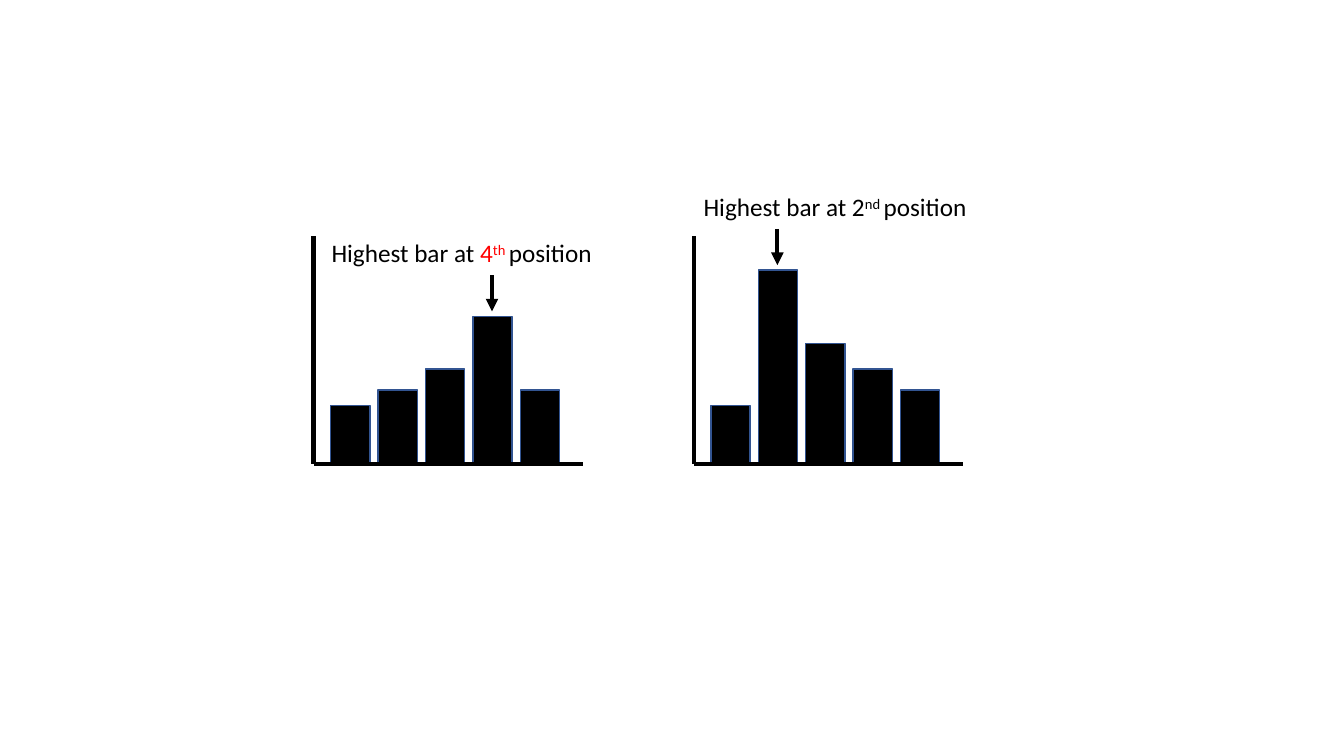
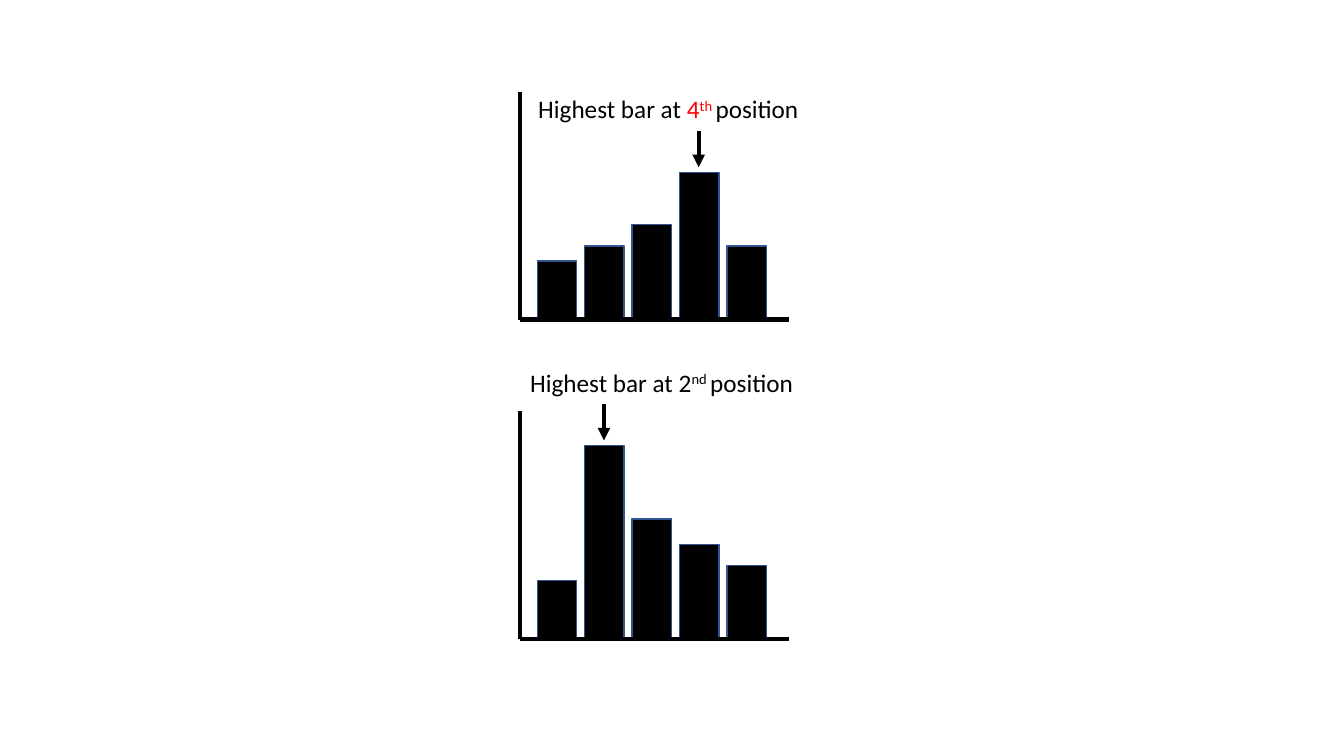
from lxml.etree import SubElement
from pptx import Presentation
from pptx.dml.color import RGBColor
from pptx.enum.shapes import MSO_CONNECTOR as CONN, MSO_SHAPE as SHAPE
from pptx.enum.text import MSO_AUTO_SIZE as AUTO
from pptx.oxml.ns import qn
from pptx.util import Pt

EMU_PER_PX = 9144
BLACK, RED, BLUE = "000000", "FF0000", "325491"
FOURTH = dict(
    heights=(58, 73, 94, 146, 73), label_dx=8, label_w=284,
    runs=(("Highest bar at ", BLACK, False), ("4", RED, False),
          ("th ", RED, True), ("position", BLACK, False)))
SECOND = dict(
    heights=(58, 192, 119, 94, 73), label_dx=0, label_w=287,
    runs=(("Highest bar at 2", BLACK, False), ("nd ", BLACK, True),
          ("position", BLACK, False)))


def px(*lengths):
    return [n * EMU_PER_PX for n in lengths]


def rgb(color):
    return RGBColor.from_string(color)


class Deck:
    """Draws bar diagrams in one style on the current slide."""
    font, size = "Calibri", 18
    axis_w, axis_h, axis_pt = 267, 226, 3
    bar_dx, bar_w, bar_pitch = 17, 39, 47
    arrow_h, arrow_gap = 36, 5
    label_h, label_rise = 40, 42

    def __init__(self):
        self.prs = Presentation()
        self.prs.slide_width, self.prs.slide_height = px(1333, 750)

    def add_slide(self):
        self.slide = self.prs.slides.add_slide(self.prs.slide_layouts[6])

    def bar(self, shapes, x, y, h):
        sp = shapes.add_shape(SHAPE.RECTANGLE, *px(x, y, self.bar_w, h))
        sp.shadow.inherit = False
        sp.fill.solid()
        sp.fill.fore_color.rgb = rgb(BLACK)
        sp.line.color.rgb = rgb(BLUE)
        sp.line.width = Pt(1)

    def line(self, shapes, x1, y1, x2, y2, arrow=False):
        cx = shapes.add_connector(CONN.STRAIGHT, *px(x1, y1, x2, y2))
        cx.line.color.rgb = rgb(BLACK)
        cx.line.width = Pt(self.axis_pt)
        if arrow:
            SubElement(cx.line._get_or_add_ln(), qn("a:tailEnd"), type="triangle")
        SubElement(cx._element.spPr, qn("a:effectLst"))

    def label(self, shapes, x, y, w, runs):
        tf = shapes.add_textbox(*px(x, y, w, self.label_h)).text_frame
        tf.word_wrap = False
        tf.auto_size = AUTO.SHAPE_TO_FIT_TEXT
        p = tf.paragraphs[0]
        for text, color, raised in runs:
            r = p.add_run()
            r.text = text
            r.font.name, r.font.size = self.font, Pt(self.size)
            r.font.color.rgb = rgb(color)
            if raised:
                r._r.get_or_add_rPr().set("baseline", "30000")

    def diagram(self, x, base, heights, label_dx, label_w, runs):
        shapes = self.slide.shapes.add_group_shape().shapes
        lefts = [x + self.bar_dx + i * self.bar_pitch for i in range(len(heights))]
        for left, h in zip(lefts, heights):
            self.bar(shapes, left, base - h, h)
        self.line(shapes, x, base, x + self.axis_w, base)
        self.line(shapes, x, base, x, base - self.axis_h)

        peak = max(heights)
        mid = lefts[heights.index(peak)] + self.bar_w // 2
        tip = base - peak - self.arrow_gap
        start = tip - self.arrow_h
        self.line(shapes, mid, start, mid, tip, arrow=True)
        self.label(shapes, x + label_dx, start - self.label_rise, label_w, runs)


def main():
    deck = Deck()
    for places in (((311, 460), (688, 460)), ((516, 317), (516, 634))):
        deck.add_slide()
        for (x, base), content in zip(places, (FOURTH, SECOND)):
            deck.diagram(x, base, **content)
    deck.prs.save("out.pptx")


if __name__ == "__main__":
    main()
